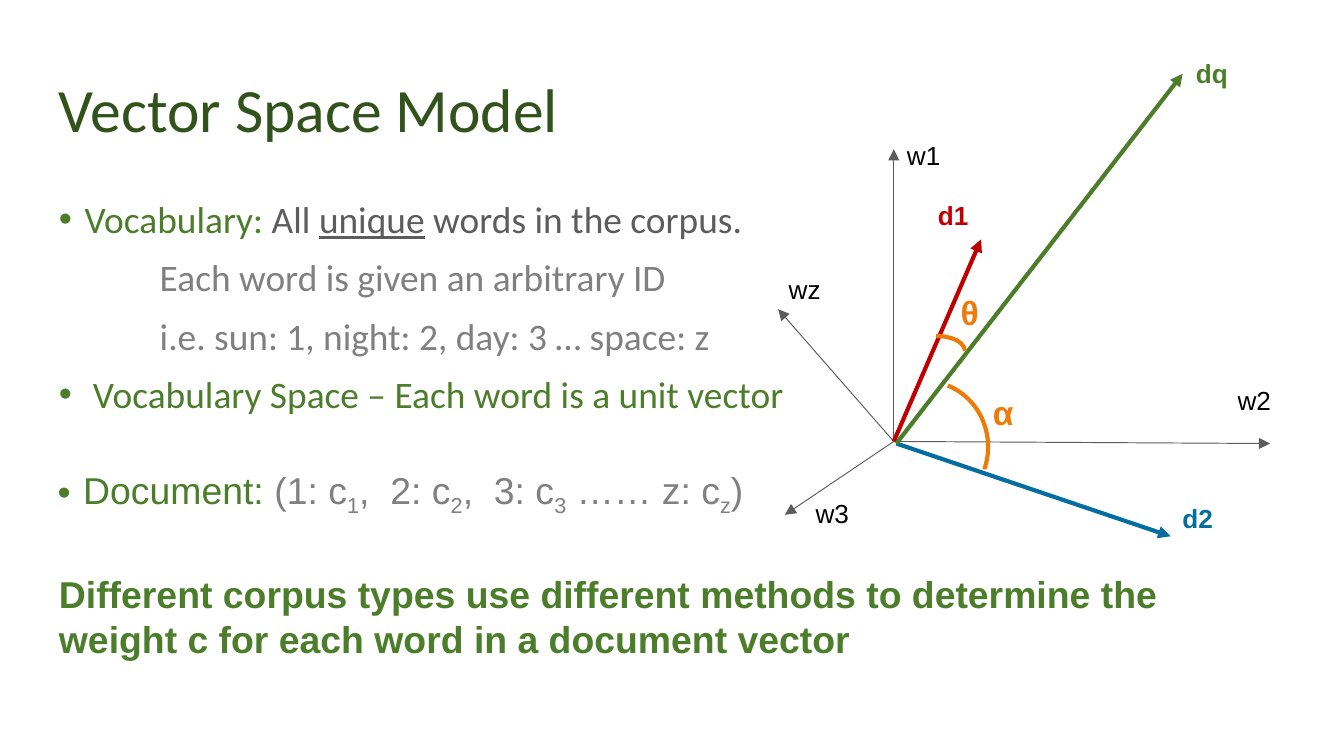
import pptx
import pptx.util
import pptx.dml.color
import pptx.enum.shapes
import pptx.enum.text
import pptx.oxml.ns
import lxml.etree

WIDE = 10
HIGH = WIDE * 9 / 16
THEME = {
    "title": "31521B", "green": "4C7D2A", "dark": "5C5C5C", "gray": "808080",
    "red": "C00000", "blue": "056EA0", "orange": "EE7B08", "black": "000000",
    "head": 33, "body": 20, "angle": 18, "label": 14,
    "thin": 0.5, "thick": 2.25, "sans": "Calibri", "plain": "Arial",
}

# Runs: (text, colour, style); paragraphs: (kind, runs)
TITLE = [("plain", [("Vector Space Model", "title", "")])]
VOCAB = [
    ("bullet", [("Vocabulary:", "green", ""), (" All ", "dark", ""),
                ("unique", "dark", "under"), (" words in the corpus.", "dark", "")]),
    ("inset", [("Each word is given an arbitrary ID", "gray", "")]),
    ("inset", [("i.e. sun: 1, night: 2, day: 3 … space: z", "gray", "")]),
    ("bullet", [(" Vocabulary Space – Each word is a unit vector", "green", "")]),
]
TERMS = [("(1: c", "1"), (",  2: c", "2"), (",  3: c", "3"), (" …… z: c", "z")]
DOC = [("bullet", [("Document: ", "green", "")]
        + [run for term, sub in TERMS
           for run in ((term, "gray", ""), (sub, "gray", "sub"))]
        + [(")", "gray", "")])]
CLOSE = [("plain", [("Different corpus types use different methods to determine "
                     "the weight c for each word in a document vector",
                     "green", "bold")])]

# Places are percent of slide width and height: left, top, width, height
BLOCKS = [  # place, text, size, font, line spacing, top inset
    ((3.4, 8.72, 93.2, 11.21), TITLE, "head", "sans", 0.9, 0.1),
    ((3.4, 22.42, 93.2, 35.77), VOCAB, "body", "sans", 1.3, 0.1),
    ((3.3, 58.19, 53.5, 18.51), DOC, "body", "plain", 1.4, 0.05),
    ((3.4, 74.67, 88.8, 19.75), CLOSE, "body", "plain", None, 0.05),
]
ROOT, BASE = (66.5, 58.4), (66.7, 58.67)
ARROWS = [  # name, start, end, label corner, line, text colour, weight
    ("w2", ROOT, (94.5, 58.67), (91.1, 50), "dark", "black", "thin"),
    ("w1", ROOT, (66.5, 19.75), (66.5, 17.62), "dark", "black", "thin"),
    ("w3", ROOT, (58.4, 68.1), (59.7, 64.9), "dark", "black", "thin"),
    ("wz", ROOT, (57.9, 40.9), (57.7, 35.23), "dark", "black", "thin"),
    ("d1", ROOT, (73, 31.67), (68.8, 25.44), "red", "red", "thick"),
    ("d2", BASE, (87.1, 70.95), (87, 65.64), "blue", "blue", "thick"),
    ("dq", BASE, (88, 9.75), (88, 6.76), "green", "green", "thick"),
]
ANGLES = [  # name, arc place, turn, arc end, label place
    ("θ", (67.5, 44.44, 4.3, 3.91), 0, 0, (70.5, 37.7, 5.5, 7.12)),
    ("α", (63.7, 50.32, 9.8, 17.96), 22.4, 213.65, (72.9, 51.03, 3.6, 7.12)),
]


def span(nums):
    """Turn alternating x and y percentages into lengths."""
    return [pptx.util.Inches(n / 100 * (HIGH if i % 2 else WIDE))
            for i, n in enumerate(nums)]


def tint(name):
    return pptx.dml.color.RGBColor.from_string(THEME[name])


def add(node, tag, **attrs):
    return lxml.etree.SubElement(node, pptx.oxml.ns.qn(tag), attrs)


def indent(para, kind):
    props = para._p.get_or_add_pPr()
    left, first = {"bullet": (0.19, -0.19), "inset": (0.75, 0)}[kind]
    props.set("marL", str(pptx.util.Inches(left)))
    props.set("indent", str(pptx.util.Inches(first)))
    if kind == "bullet":
        add(props, "a:buFont", typeface=THEME["plain"])
        add(props, "a:buChar", char="•")


def write(slide, place, paras, size, font, gap=None, inset=0.05, wrap=True):
    frame = slide.shapes.add_textbox(*span(place)).text_frame
    frame.word_wrap = wrap
    if not wrap:
        frame.auto_size = pptx.enum.text.MSO_AUTO_SIZE.SHAPE_TO_FIT_TEXT
    frame.margin_top = frame.margin_bottom = pptx.util.Inches(inset)
    for i, (kind, runs) in enumerate(paras):
        para = frame.add_paragraph() if i else frame.paragraphs[0]
        if kind != "plain":
            indent(para, kind)
        if gap:
            para.line_spacing = gap
        for text, color, style in runs:
            run = para.add_run()
            run.text = text
            run.font.size = pptx.util.Pt(THEME[size])
            run.font.name = THEME[font]
            run.font.color.rgb = tint(color)
            if style == "bold":
                run.font.bold = True
            elif style == "under":
                run.font.underline = True
            elif style == "sub":
                run._r.get_or_add_rPr().set("baseline", "-25000")


def stroke(shape, color, weight):
    shape.line.color.rgb = tint(color)
    shape.line.width = pptx.util.Pt(THEME[weight])


def arrow(slide, start, end, color, weight):
    kind = pptx.enum.shapes.MSO_CONNECTOR.STRAIGHT
    line = slide.shapes.add_connector(kind, *span(start + end))
    stroke(line, color, weight)
    add(line.line._get_or_add_ln(), "a:tailEnd", type="triangle")
    add(line._element.spPr, "a:effectLst")


def arc(slide, place, turn, end):
    shape = slide.shapes.add_shape(pptx.enum.shapes.MSO_SHAPE.ARC, *span(place))
    shape.adjustments[0] = 162
    shape.adjustments[1] = end
    shape.rotation = turn
    shape.fill.background()
    shape.shadow.inherit = False
    stroke(shape, "orange", "thick")


def main():
    deck = pptx.Presentation()
    deck.slide_width = pptx.util.Inches(WIDE)
    deck.slide_height = pptx.util.Inches(HIGH)
    slide = deck.slides.add_slide(deck.slide_layouts[6])
    for block in BLOCKS:
        write(slide, *block)
    for name, start, end, spot, line, color, weight in ARROWS:
        arrow(slide, start, end, line, weight)
        style = "bold" if weight == "thick" else ""
        write(slide, spot + (4.6, 6.05), [("plain", [(name, color, style)])],
              "label", "plain", wrap=False)
    for name, place, turn, end, spot in ANGLES:
        arc(slide, place, turn, end)
        write(slide, spot, [("plain", [(name, "orange", "bold")])],
              "angle", "plain")
    deck.save("out.pptx")


if __name__ == "__main__":
    main()
